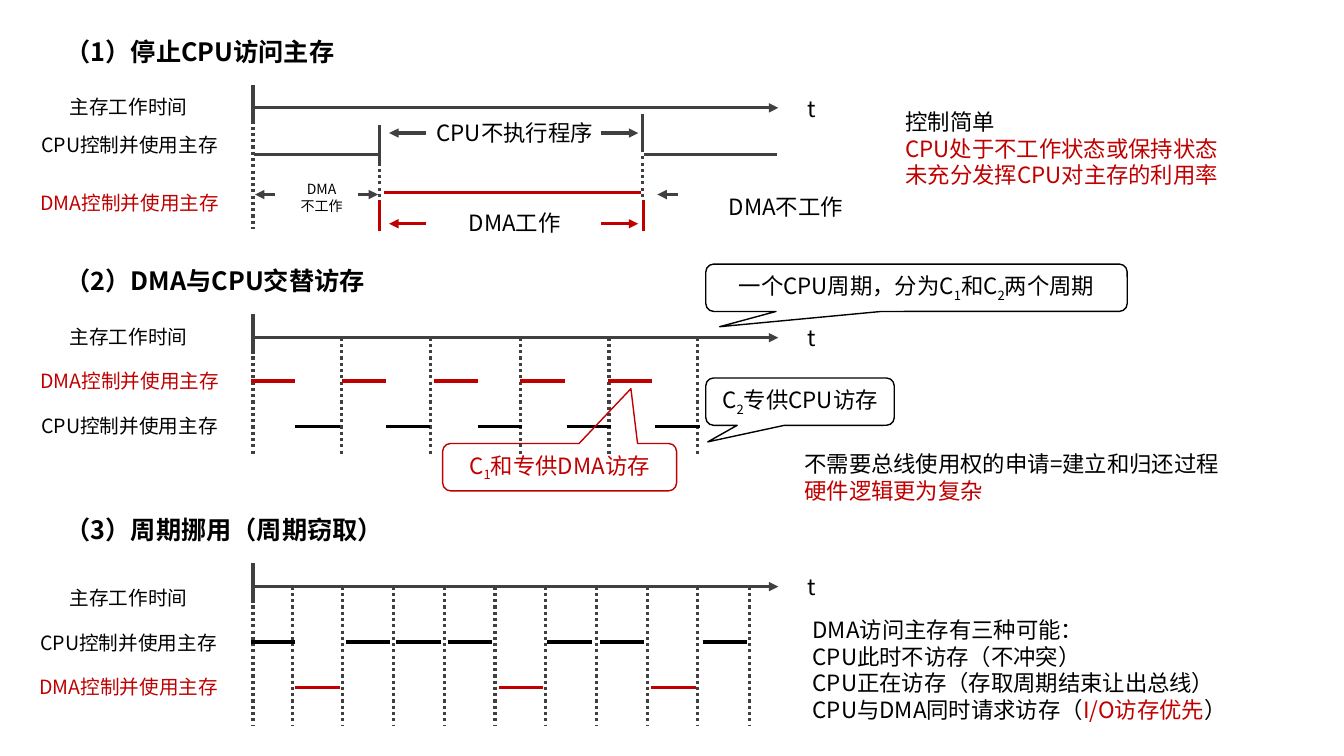
from lxml.etree import SubElement
from pptx import Presentation
from pptx.dml.color import RGBColor
from pptx.enum.dml import MSO_LINE_DASH_STYLE as Dash
from pptx.enum.shapes import MSO_CONNECTOR as Connector, MSO_SHAPE as Shape
from pptx.enum.text import MSO_ANCHOR as Anchor, MSO_AUTO_SIZE as AutoSize, PP_ALIGN as Align
from pptx.oxml.ns import qn
from pptx.util import Emu, Pt

PX = 9144  # EMU per px, 100 px to the inch
COLOURS = {"black": "000000", "grey": "404040", "red": "C00000"}
FONT = "Noto Sans CJK SC"
COMPARISON_LAYOUT = 4
DASH_WIDTH = 44


def px(*lengths):
    return [Emu(length * PX) for length in lengths]


def rgb(name):
    return RGBColor.from_string(COLOURS[name])


class TimingSlide:
    def __init__(self, presentation):
        self.slide = presentation.slides.add_slide(presentation.slide_layouts[COMPARISON_LAYOUT])

    def set_lines(self, shape, lines, size, colour, align, bold=False, anchor=Anchor.TOP):
        """Each line is (colour, run, ...); a run is text, "_subscript" or (text, colour)."""
        frame = shape.text_frame
        frame.word_wrap = True
        frame.vertical_anchor = anchor
        for number, line in enumerate(lines):
            paragraph = frame.add_paragraph() if number else frame.paragraphs[0]
            line_colour, *runs = (colour, line) if isinstance(line, str) else line
            paragraph.alignment = align
            paragraph.space_before = Pt(0)
            font = paragraph.font
            font.name, font.size, font.bold = FONT, Pt(size), bold
            font.color.rgb = rgb(line_colour)
            properties = paragraph._p.get_or_add_pPr()
            properties.set("marL", "0")
            properties.set("indent", "0")
            defaults = properties.find(qn("a:defRPr"))
            SubElement(defaults, qn("a:ea")).set("typeface", FONT)
            defaults.addprevious(defaults.makeelement(qn("a:buNone")))
            for part in runs:
                text, run_colour = (part, None) if isinstance(part, str) else part
                run = paragraph.add_run()
                run.text = text.lstrip("_")
                if run_colour:
                    run.font.color.rgb = rgb(run_colour)
                if text.startswith("_"):
                    run.font._element.set("baseline", "-25000")

    def text(self, box, *lines, size=16, colour="black", align=Align.CENTER, bold=False,
             placeholder=None):
        if placeholder is None:
            shape = self.slide.shapes.add_textbox(*px(*box))
        else:
            shape = self.slide.placeholders[placeholder]
            shape.left, shape.top, shape.width, shape.height = px(*box)
        self.set_lines(shape, lines, size, colour, align, bold)
        shape.text_frame.auto_size = AutoSize.SHAPE_TO_FIT_TEXT

    def heading(self, top, text, placeholder):
        self.text((55, top, 468, 40), text, size=18, align=Align.LEFT, bold=True,
                  placeholder=placeholder)

    def note(self, box, *lines, placeholder=None):
        self.text(box, *lines, align=Align.LEFT, placeholder=placeholder)

    def row_label(self, top, text, colour="black", left=21):
        self.text((left, top, 215, 34), text, size=14, colour=colour)

    def line(self, x1, y1, x2, y2, colour="grey", dotted=False, arrow=False):
        connector = self.slide.shapes.add_connector(Connector.STRAIGHT, *px(x1, y1, x2, y2))
        connector.line.color.rgb = rgb(colour)
        connector.line.width = Pt(2.25)
        if dotted:
            connector.line.dash_style = Dash.ROUND_DOT
        if arrow:
            SubElement(connector.line._get_or_add_ln(), qn("a:headEnd")).set("type", "triangle")
        SubElement(connector._element.spPr, qn("a:effectLst"))

    def dashes(self, y, colour, starts):
        for x in starts:
            self.line(x, y, x + DASH_WIDTH, y, colour)

    def dividers(self, top, bottom, positions):
        for x in positions:
            self.line(x, top, x, bottom, dotted=True)

    def time_axis(self, y, label_top):
        self.line(772, y, 251, y, arrow=True)
        self.line(251, y - 23, 251, y + 16)
        self.text((782, y - 18, 46, 37), "t")
        self.text((34, label_top, 187, 34), "主存工作时间", size=14)

    def callout(self, box, pointer, *runs, colour="black"):
        shape = self.slide.shapes.add_shape(Shape.ROUNDED_RECTANGULAR_CALLOUT, *px(*box))
        shape.adjustments[0], shape.adjustments[1] = pointer
        shape.shadow.inherit = False
        shape.fill.background()
        shape.line.color.rgb = rgb(colour)
        shape.line.width = Pt(1)
        self.set_lines(shape, [(colour, *runs)], 16, colour, Align.CENTER, anchor=Anchor.MIDDLE)


def stop_cpu(page):
    page.heading(31, "（1）停止CPU访问主存", 0)
    page.time_axis(107, 89)
    page.row_label(127, "CPU控制并使用主存")
    page.row_label(184, "DMA控制并使用主存", "red")
    page.dividers(107, 227, [251])
    page.dividers(155, 198, [376, 637])
    # CPU level
    page.line(252, 153, 378, 153)
    page.line(376, 124, 376, 163)
    page.line(637, 113, 637, 151)
    page.line(639, 153, 771, 153)
    # DMA level
    page.line(381, 191, 636, 191, "red")
    for x in (376, 638):
        page.line(x, 229, x, 198, "red")
    # Span arrows and their captions
    for y, colour, caption in ((132, "grey", "CPU不执行程序"), (222, "red", "DMA工作")):
        page.line(633, y, 596, y, colour, arrow=True)
        page.line(386, y, 423, y, colour, arrow=True)
        page.text((417, y - 19, 187, 37), caption)
    for tip, end in ((375, 355), (253, 273), (652, 672)):
        page.line(tip, 193, end, 193, arrow=True)
    page.text((280, 174, 78, 44), "DMA", "不工作", size=10)
    page.text((686, 187, 187, 37), "DMA不工作")
    page.note((888, 102, 390, 91), "控制简单", ("red", "CPU处于不工作状态或保持状态"),
              ("red", "未充分发挥CPU对主存的利用率"), placeholder=2)


def alternate(page):
    page.heading(258, "（2）DMA与CPU交替访存", 1)
    page.time_axis(335, 317)
    page.row_label(361, "DMA控制并使用主存", "red")
    page.row_label(406, "CPU控制并使用主存")
    page.dividers(335, 450, [round(251 + 88.2 * cycle) for cycle in range(6)])
    page.dashes(378, "red", (249, 339, 430, 516, 603))
    page.dashes(423, "black", (293, 383, 474, 562, 650))
    page.callout((700, 262, 418, 47), (-0.467, 0.822),
                 "一个CPU周期，分为C", "_1", "和C", "_2", "两个周期")
    page.callout((700, 375, 187, 47), (-0.489, 0.849), "C", "_2", "专供CPU访存")
    page.callout((439, 440, 232, 47), (0.305, -1.657), "C", "_1", "和专供DMA访存", colour="red")
    page.note((788, 442, 490, 64), "不需要总线使用权的申请=建立和归还过程",
              ("red", "硬件逻辑更为复杂"))


def steal_cycles(page):
    page.heading(505, "（3）周期挪用（周期窃取）", 3)
    page.time_axis(582, 576)
    page.row_label(621, "CPU控制并使用主存", left=20)
    page.row_label(665, "DMA控制并使用主存", "red", left=20)
    page.dividers(582, 720, [251, 290] + [round(340 + 50.33 * cycle) for cycle in range(9)])
    page.dashes(637, "black", (249, 343, 393, 444, 543, 595, 697))
    page.dashes(682, "red", (293, 495, 646))
    page.note((796, 606, 490, 118), "DMA访问主存有三种可能：", "CPU此时不访存（不冲突）",
              "CPU正在访存（存取周期结束让出总线）",
              ("black", "CPU与DMA同时请求访存（", ("I/O访存优先", "red"), "）"), placeholder=4)


def main():
    presentation = Presentation()
    presentation.slide_width, presentation.slide_height = px(1333, 750)
    page = TimingSlide(presentation)
    stop_cpu(page)
    alternate(page)
    steal_cycles(page)
    presentation.save("out.pptx")


if __name__ == "__main__":
    main()
